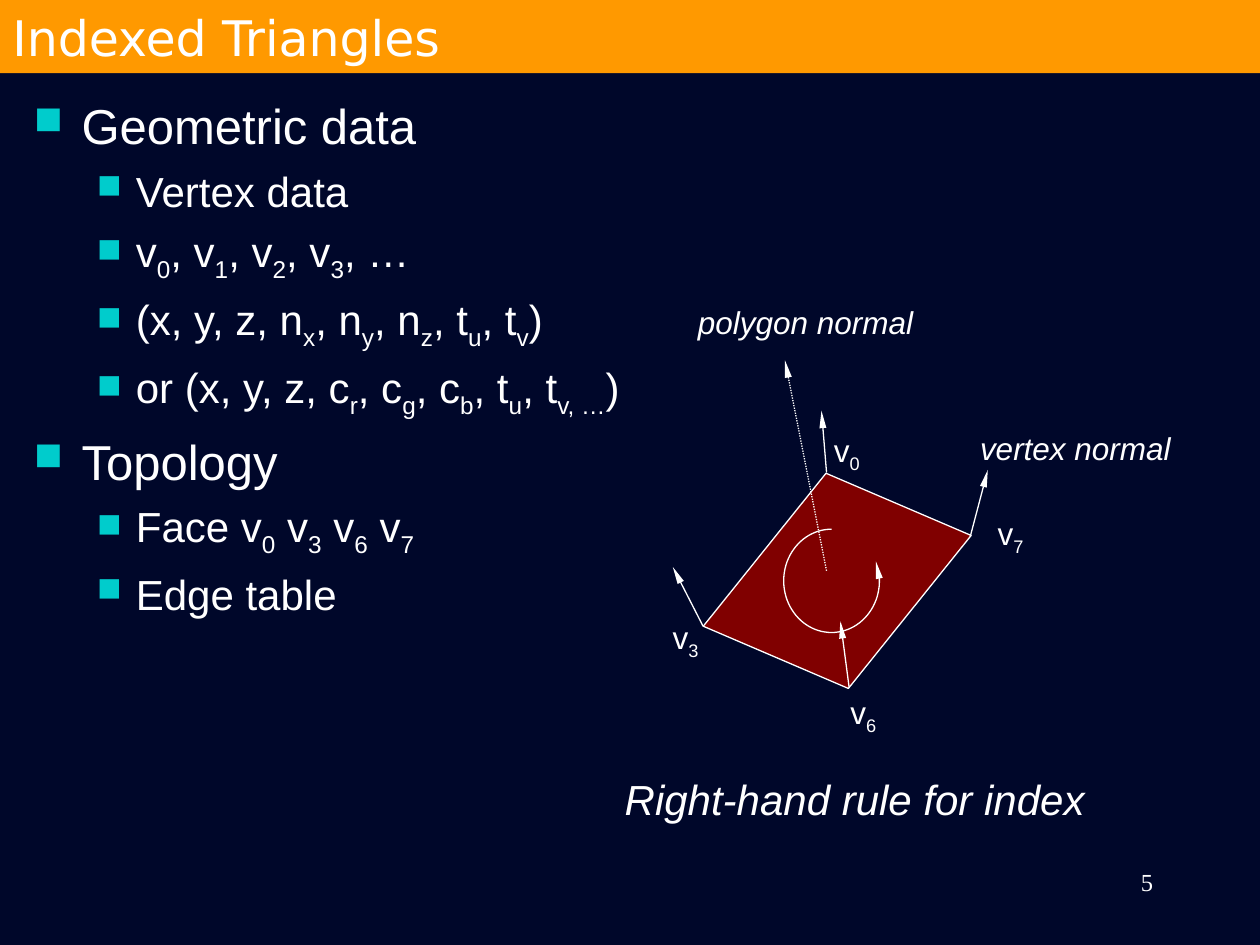
import math

from lxml import etree
from pptx import Presentation
from pptx.dml import color
from pptx.enum import dml, shapes, text
from pptx.oxml import ns
from pptx.util import Inches, Pt

WHITE, BULLET = "FFFFFF", "00CCCC"


def rgb(value):
    return color.RGBColor.from_string(value)


def write(paragraph, marked, **formats):
    """Fill a paragraph; parts between underscores become subscripts."""
    paragraph.font.color.rgb = rgb(WHITE)
    for position, part in enumerate(marked.split("_")):
        if not part:
            continue
        run = paragraph.add_run()
        run.text = part
        run.font.color.rgb = rgb(WHITE)
        for key, value in formats.items():
            setattr(run.font, key, value)
        if position % 2:
            run.font._element.set("baseline", "-25000")


deck = Presentation()
deck.slide_width, deck.slide_height = Inches(10), Inches(7.5)
slide = deck.slides.add_slide(deck.slide_layouts[6])
slide.background.fill.solid()
slide.background.fill.fore_color.rgb = rgb("00072A")

# Slide number
number = slide.shapes.add_textbox(Inches(7.17), Inches(6.83), Inches(2.08), Inches(0.5))
number.text_frame.word_wrap = True
number_line = number.text_frame.paragraphs[0]
number_line.alignment = text.PP_ALIGN.RIGHT
write(number_line, "5", size=Pt(14), name="Times New Roman")

# Outline: level and text
outline = [
    (0, "Geometric data"),
    (1, "Vertex data"),
    (1, "v_0_, v_1_, v_2_, v_3_, …"),
    (1, "(x, y, z, n_x_, n_y_, n_z_, t_u_, t_v_)"),
    (1, "or (x, y, z, c_r_, c_g_, c_b_, t_u_, t_v, …_)"),
    (0, "Topology"),
    (1, "Face v_0_ v_3_ v_6_ v_7_"),
    (1, "Edge table"),
]
# Per level: margin, hanging indent, text size, space before
levels = [(0.38, 0.38, 28, 7), (0.81, 0.31, 24, 6)]
body = slide.shapes.add_textbox(Inches(0.17), Inches(0.71), Inches(8.42), Inches(5.09))
body.text_frame.word_wrap = True
for index, (level, words) in enumerate(outline):
    margin, hanging, size, before = levels[level]
    item = body.text_frame.paragraphs[0] if index == 0 else body.text_frame.add_paragraph()
    item.level = level
    properties = item._p.get_or_add_pPr()
    properties.set("marL", str(Inches(margin)))
    properties.set("indent", str(-Inches(hanging)))
    bullet_color = etree.SubElement(properties, ns.qn("a:buClr"))
    etree.SubElement(bullet_color, ns.qn("a:srgbClr"), val=BULLET)
    etree.SubElement(properties, ns.qn("a:buSzPct"), val="80000")
    etree.SubElement(properties, ns.qn("a:buChar"), char="■")
    item.space_before = Pt(before if index else 0)
    write(item, words, size=Pt(size), name="Arial")

# Polygon face
face = slide.shapes.add_shape(
    shapes.MSO_SHAPE.PARALLELOGRAM, Inches(5.81), Inches(3.86), Inches(1.67), Inches(1.5))
face.adjustments[0] = 0.278
face.rotation = 23.2
face.shadow.inherit = False
face.fill.solid()
face.fill.fore_color.rgb = rgb("800000")
face.line.color.rgb = rgb(WHITE)
face.line.width = Pt(0.75)

# Winding arrow: counterclockwise from the top of an ellipse
center_x, center_y, radius_x, radius_y = 6.6, 4.61, 0.38, 0.41
turn = [math.radians(90 + degrees) for degrees in range(0, 293, 4)]
points = [(Inches(center_x + radius_x * math.cos(angle)),
           Inches(center_y - radius_y * math.sin(angle))) for angle in turn]
builder = slide.shapes.build_freeform(*points[0])
builder.add_line_segments(points[1:], close=False)
winding = builder.convert_to_shape()
winding.fill.background()
winding.shadow.inherit = False

# Normals: the polygon's first, then one per vertex
normals = [
    (6.56, 4.53, 6.23, 2.86),
    (7.7, 4.26, 7.84, 3.73),
    (6.56, 3.75, 6.52, 3.26),
    (5.58, 4.97, 5.34, 4.5),
    (6.74, 5.46, 6.67, 4.93),
]
arrows = [winding]
for ends in normals:
    normal = slide.shapes.add_connector(
        shapes.MSO_CONNECTOR.STRAIGHT, *[Inches(value) for value in ends])
    arrows.append(normal)
arrows[1].line.dash_style = dml.MSO_LINE.ROUND_DOT
for arrow in arrows:
    arrow.line.color.rgb = rgb(WHITE)
    arrow.line.width = Pt(0.75)
    outline_xml = arrow._element.spPr.find(ns.qn("a:ln"))
    etree.SubElement(outline_xml, ns.qn("a:tailEnd"), type="triangle", w="sm", len="lg")
    if arrow is not winding:
        etree.SubElement(arrow._element.spPr, ns.qn("a:effectLst"))

# Diagram labels, wide enough for one line: left, top, width, height, text, size, italic
labels = [
    (6.52, 3.37, 0.6, 0.44, "v_0_", 18, False),
    (5.24, 4.86, 0.6, 0.44, "v_3_", 18, False),
    (6.65, 5.45, 0.6, 0.44, "v_6_", 18, False),
    (7.82, 4.03, 0.6, 0.44, "v_7_", 18, False),
    (5.44, 2.36, 2.1, 0.4, "polygon normal", 18, True),
    (7.68, 3.36, 1.9, 0.4, "vertex normal", 18, True),
    (4.86, 6.09, 5.77, 0.5, "Right-hand rule for index", 24, True),
]
for *place, words, size, italic in labels:
    label = slide.shapes.add_textbox(*[Inches(value) for value in place])
    label.text_frame.word_wrap = True
    write(label.text_frame.paragraphs[0], words, size=Pt(size), name="Arial", italic=italic)

# Title band
title = slide.shapes.add_shape(
    shapes.MSO_SHAPE.RECTANGLE, 0, 0, deck.slide_width, Inches(0.58))
title.shadow.inherit = False
title.fill.solid()
title.fill.fore_color.rgb = rgb("FF9900")
title.line.fill.background()
title.text_frame.vertical_anchor = text.MSO_ANCHOR.MIDDLE
title_line = title.text_frame.paragraphs[0]
title_line.alignment = text.PP_ALIGN.LEFT
write(title_line, "Indexed Triangles", size=Pt(28), name="DejaVu Sans")

deck.save("out.pptx")
